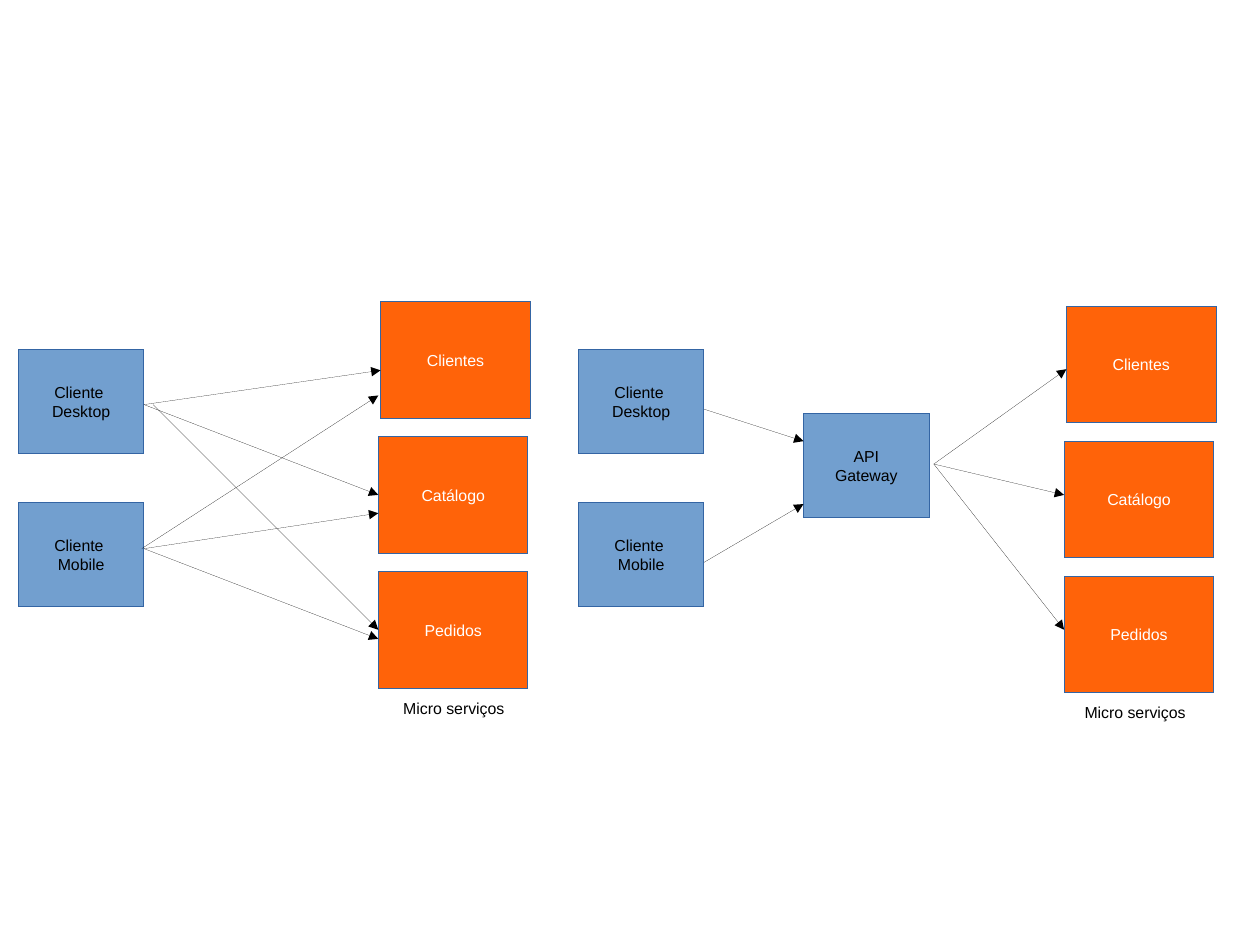
from lxml.etree import SubElement
from pptx import Presentation
from pptx.dml.color import RGBColor
from pptx.enum.shapes import MSO_CONNECTOR, MSO_SHAPE
from pptx.enum.text import MSO_ANCHOR, MSO_AUTO_SIZE, PP_ALIGN
from pptx.oxml.ns import qn
from pptx.util import Cm, Pt

EMU_PER_PX = 9144
BLUE, ORANGE, BORDER = "729FCF", "FF6309", "3465A4"
BLACK, WHITE = "000000", "FFFFFF"
LEFT_SIDE = 1


def px(length):
    return length * EMU_PER_PX


def color(value):
    return RGBColor.from_string(value)


def draw_hairline(line, value):
    line.color.rgb = color(value)
    outline = line._get_or_add_ln()
    outline.set("w", "0")
    return outline


def write(frame, text, size=10, fill=BLACK, align=PP_ALIGN.CENTER, wrap=False):
    frame.word_wrap = wrap
    for index, line in enumerate(text.split("\n")):
        para = frame.paragraphs[0] if index == 0 else frame.add_paragraph()
        para.alignment = align
        span = para.add_run()
        span.text = line
        span.font.name = "Arial"
        span.font.size = Pt(size)
        span.font.color.rgb = color(fill)


def add_box(page, left, top, width, height, text, fill, text_fill):
    box = page.shapes.add_shape(MSO_SHAPE.RECTANGLE, px(left), px(top), px(width), px(height))
    box.shadow.inherit = False
    box.fill.solid()
    box.fill.fore_color.rgb = color(fill)
    draw_hairline(box.line, BORDER)
    box.text_frame.vertical_anchor = MSO_ANCHOR.MIDDLE
    write(box.text_frame, text, fill=text_fill)
    return box


def add_client(page, left, top, text):
    return add_box(page, left, top, 110, 91, text, BLUE, BLACK)


def add_clients(page, left):
    add_client(page, left, 306, "Cliente \nDesktop")
    add_client(page, left, 440, "Cliente \nMobile")


def add_services(page, left, top):
    names = ["Clientes", "Catálogo", "Pedidos"]
    offsets = [2, 0, 0]
    return [
        add_box(page, left + offset, top + 118 * row, 131, 102, name, ORANGE, WHITE)
        for row, (name, offset) in enumerate(zip(names, offsets))
    ]


def add_caption(page, left, top, width, height, wrap):
    box = page.shapes.add_textbox(px(left), px(top), px(width), px(height))
    box.text_frame.auto_size = MSO_AUTO_SIZE.SHAPE_TO_FIT_TEXT
    write(box.text_frame, "Micro serviços", align=PP_ALIGN.LEFT, wrap=wrap)


def add_arrow(page, start, end, target=None):
    points = [px(value) for value in (*start, *end)]
    arrow = page.shapes.add_connector(MSO_CONNECTOR.STRAIGHT, *points)
    outline = draw_hairline(arrow.line, BLACK)
    SubElement(outline, qn("a:tailEnd"), type="triangle")
    SubElement(arrow._element.spPr, qn("a:effectLst"))
    if target is not None:
        arrow.end_connect(target, LEFT_SIDE)


def add_direct_diagram(page):
    _, catalog, orders = add_services(page, 331, 264)
    add_caption(page, 343, 606, 110, 25, wrap=False)
    add_clients(page, 16)
    add_arrow(page, (124, 480), (331, 346))
    for end in [(331, 449), (331, 559)]:
        add_arrow(page, (126, 480), end)
    add_arrow(page, (126, 354), (333, 324))
    add_arrow(page, (126, 354), (331, 433), catalog)
    add_arrow(page, (134, 354), (331, 551), orders)


def add_gateway_diagram(page):
    add_services(page, 931, 268)
    add_caption(page, 939, 610, 163, 38, wrap=True)
    add_clients(page, 506)
    add_client(page, 703, 362, "API\nGateway")
    add_arrow(page, (616, 358), (703, 386))
    add_arrow(page, (616, 492), (703, 441))
    for end in [(933, 323), (931, 433), (931, 551)]:
        add_arrow(page, (817, 406), end)


def main():
    deck = Presentation()
    deck.slide_width = Cm(28)
    deck.slide_height = Cm(21)
    page = deck.slides.add_slide(deck.slide_layouts[6])
    add_gateway_diagram(page)
    add_direct_diagram(page)
    deck.save("out.pptx")


if __name__ == "__main__":
    main()
